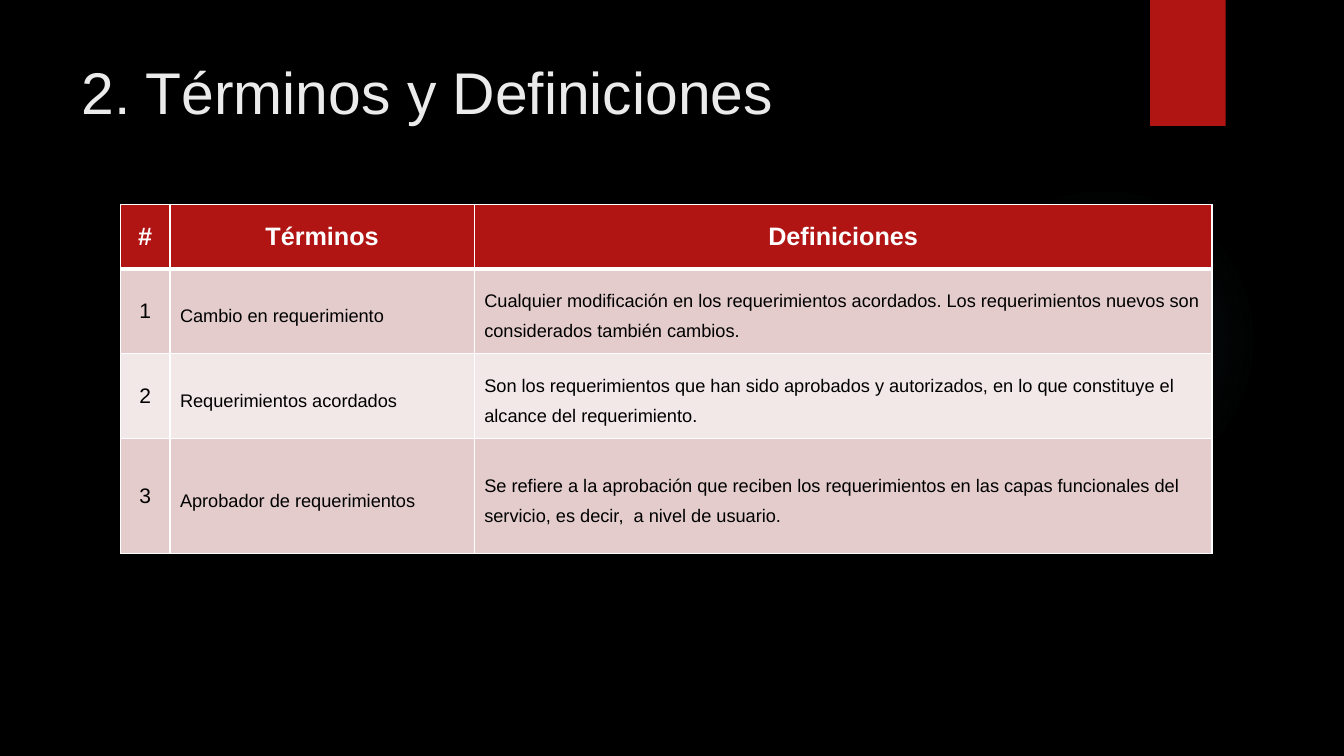
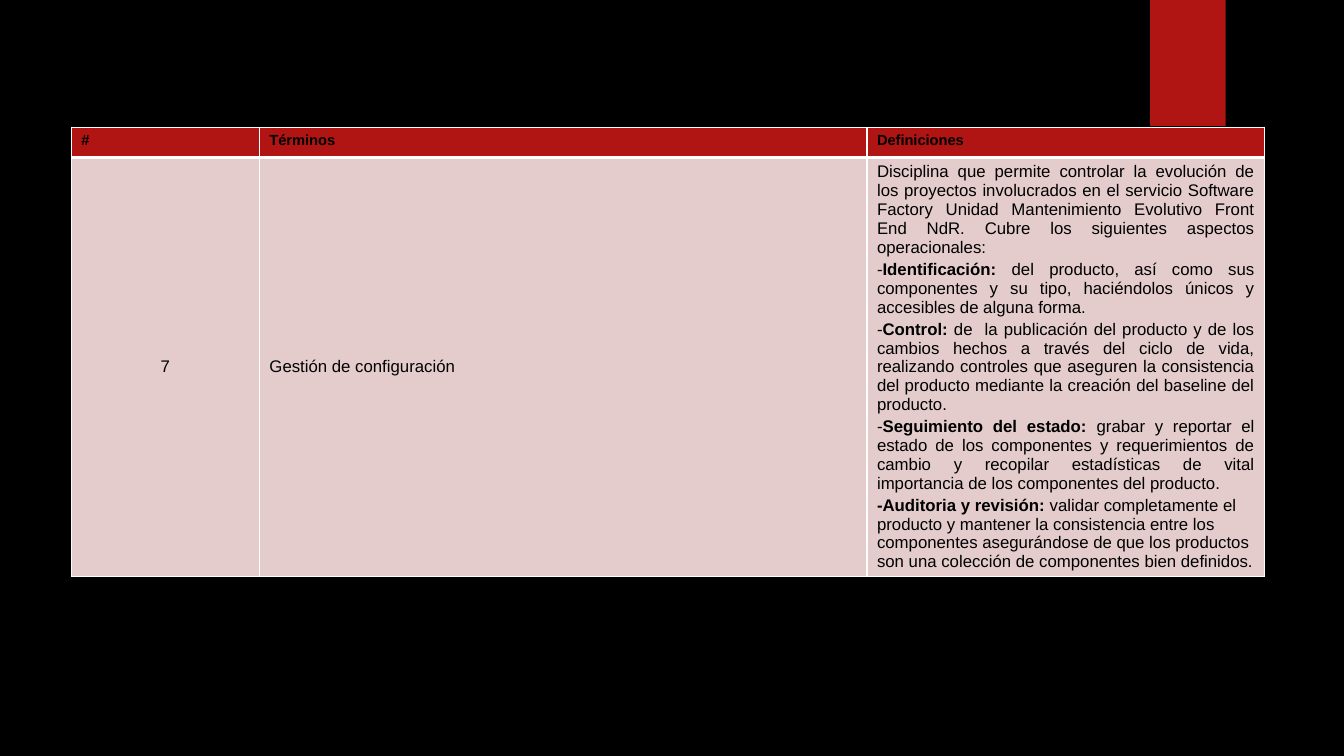
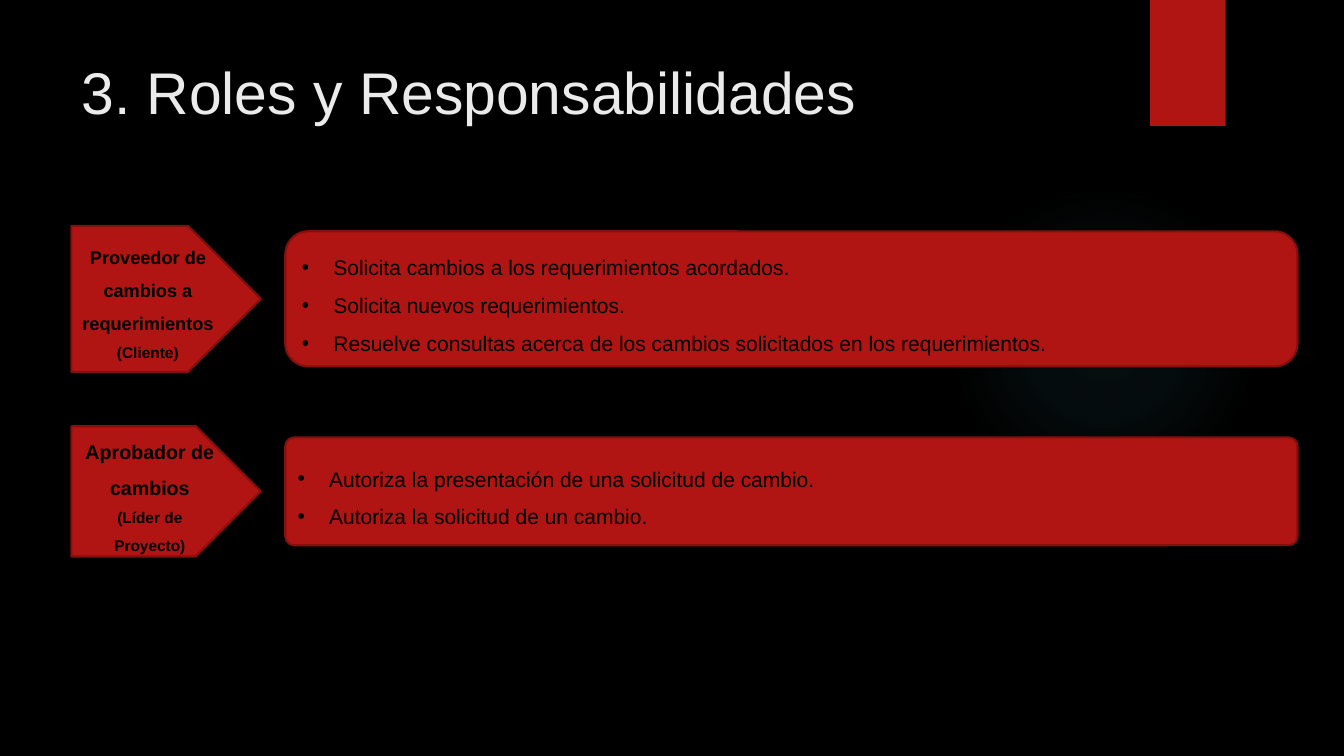
from pptx import Presentation
from pptx.dml.color import RGBColor
from pptx.enum.shapes import MSO_SHAPE
from pptx.enum.text import MSO_ANCHOR, PP_ALIGN
from pptx.oxml import parse_xml
from pptx.oxml.ns import nsdecls
from pptx.util import Pt

FONT = "Arial"
COLORS = {
    "black": "000000", "white": "FFFFFF", "title": "EBEBEB", "red": "B01513",
    "outline": "82100E", "odd": "E4CCCC", "even": "F2E8E7", "glow": "50B9C1",
}
LEFT, CENTER, JUSTIFY = PP_ALIGN.LEFT, PP_ALIGN.CENTER, PP_ALIGN.JUSTIFY
TOP, MIDDLE = MSO_ANCHOR.TOP, MSO_ANCHOR.MIDDLE

HEADER = ["#", "Términos", "Definiciones"]
TERMS = [
    ("1", "Cambio en requerimiento",
     "Cualquier modificación en los requerimientos acordados. Los requerimientos nuevos son "
     "considerados también cambios."),
    ("2", "Requerimientos acordados",
     "Son los requerimientos que han sido aprobados y autorizados, en lo que constituye el "
     "alcance del requerimiento."),
    ("3", "Aprobador de requerimientos",
     "Se refiere a la aprobación que reciben los requerimientos en las capas funcionales del "
     "servicio, es decir,  a nivel de usuario."),
]
CONFIG_INTRO = (
    "Disciplina que permite controlar la evolución de los proyectos involucrados en el servicio "
    "Software Factory Unidad Mantenimiento Evolutivo Front End NdR. Cubre los siguientes "
    "aspectos operacionales:")
CONFIG_ASPECTS = [
    ("Identificación:",
     " del producto, así como sus componentes y su tipo, haciéndolos únicos y accesibles de "
     "alguna forma."),
    ("Control:",
     " de  la publicación del producto y de los cambios hechos a través del ciclo de vida, "
     "realizando controles que aseguren la consistencia del producto mediante la creación del "
     "baseline del producto."),
    ("Seguimiento del estado:",
     " grabar y reportar el estado de los componentes y requerimientos de cambio y recopilar "
     "estadísticas de vital importancia de los componentes del producto."),
]
CONFIG_AUDIT = (
    "-Auditoria y revisión:",
    " validar completamente el producto y mantener la consistencia entre los componentes "
    "asegurándose de que los productos son una colección de componentes bien definidos.")
ROLES = [
    {"role": "Proveedor de cambios a requerimientos", "who": "(Cliente)", "size": 13,
     "middle": 213.5, "arrow": 104.4, "box": 96.5, "corner": 0.17,
     "tasks": ["Solicita cambios a los requerimientos acordados.",
               "Solicita nuevos requerimientos.",
               "Resuelve consultas acerca de los cambios solicitados en los requerimientos."]},
    {"role": "Aprobador de cambios", "who": "(Líder de Proyecto)", "size": 14,
     "middle": 351, "arrow": 93, "box": 77, "corner": 0.08,
     "tasks": ["Autoriza la presentación de una solicitud de cambio.",
               "Autoriza la solicitud de un cambio."]},
]


def rgb(name):
    return RGBColor.from_string(COLORS[name])


def write(tf, text, size=12, color="black", bold=False, align=LEFT,
          line=None, before=None, bullet=None, indent=0):
    p = tf.paragraphs[0]
    if p.runs:
        p = tf.add_paragraph()
    p.alignment = align
    if line:
        p.line_spacing = line
    if before:
        p.space_before = Pt(before)
    if bullet:
        pPr = p._p.get_or_add_pPr()
        pPr.set("marL", str(Pt(indent)))
        pPr.set("indent", str(-Pt(indent)))
        pPr.append(parse_xml(f'<a:buFont {nsdecls("a")} typeface="{FONT}"/>'))
        pPr.append(parse_xml(f'<a:buChar {nsdecls("a")} char="{bullet}"/>'))
    runs = [(text, bold)] if isinstance(text, str) else zip(text, (True, False))
    for words, strong in runs:
        r = p.add_run()
        r.text = words
        r.font.name = FONT
        r.font.size = Pt(size)
        r.font.bold = strong
        r.font.color.rgb = rgb(color)


def add_panel(shapes, kind, x, y, w, h, line=None):
    sp = shapes.add_shape(kind, Pt(x), Pt(y), Pt(w), Pt(h))
    sp.shadow.inherit = False
    sp.fill.solid()
    sp.fill.fore_color.rgb = rgb("red")
    if line:
        sp.line.color.rgb = rgb(line)
        sp.line.width = Pt(1.5)
    else:
        sp.line.fill.background()
    sp.text_frame.word_wrap = True
    sp.text_frame.vertical_anchor = MIDDLE
    return sp


def decorate_master(prs, s):
    master = prs.slide_master
    master.background.fill.solid()
    master.background.fill.fore_color.rgb = rgb("black")
    glow = add_panel(s.shapes, MSO_SHAPE.OVAL, 677.5, 131.8, 221.8, 221.8)
    stops = "".join(
        f'<a:gs pos="{pos * 1000}"><a:srgbClr val="{COLORS["glow"]}">'
        f'<a:alpha val="{alpha * 1000}"/></a:srgbClr></a:gs>'
        for pos, alpha in [(0, 7), (36, 6), (69, 0), (100, 0)])
    spPr = glow._element.spPr
    spPr.replace(spPr.solidFill, parse_xml(
        f'<a:gradFill {nsdecls("a")}><a:gsLst>{stops}</a:gsLst><a:path path="circle">'
        '<a:fillToRect l="50000" t="50000" r="50000" b="50000"/></a:path></a:gradFill>'))
    band = add_panel(s.shapes, MSO_SHAPE.RECTANGLE, 821.5, 0, 54, 90)
    for i, sp in enumerate((glow, band)):
        master.shapes.element.insert(2 + i, sp._element)


def place_title(layout):
    title = layout.placeholders[0]
    title.left, title.top, title.width, title.height = Pt(51), Pt(36), Pt(741), Pt(110)
    title.text_frame.vertical_anchor = TOP


def add_title(s, text):
    write(s.shapes.title.text_frame, text, size=42, color="title")


def add_grid(s, x, y, cols, rows):
    table = s.shapes.add_table(len(rows), len(cols), Pt(x), Pt(y),
                               Pt(sum(cols)), Pt(sum(rows))).table
    for column, width in zip(table.columns, cols):
        column.width = Pt(width)
    for i, (row, height) in enumerate(zip(table.rows, rows)):
        row.height = Pt(height)
        for cell in row.cells:
            tcPr = cell._tc.get_or_add_tcPr()
            widths = {"L": 1, "R": 1, "T": 3 if i == 1 else 1, "B": 3 if i == 0 else 1}
            for side, width in widths.items():
                tcPr.append(parse_xml(
                    f'<a:ln{side} {nsdecls("a")} w="{Pt(width)}"><a:solidFill>'
                    f'<a:srgbClr val="{COLORS["white"]}"/></a:solidFill></a:ln{side}>'))
            cell.fill.solid()
            cell.fill.fore_color.rgb = rgb("red" if i == 0 else "odd" if i % 2 else "even")
            cell.vertical_anchor = MIDDLE
    return table


def build_terms(s):
    add_title(s, "2. Términos y Definiciones")
    table = add_grid(s, 86, 146, [35.4, 217.4, 527], [46, 60.7, 60.7, 82])
    for j, text in enumerate(HEADER):
        write(table.cell(0, j).text_frame, text, size=18, color="white", bold=True, align=CENTER)
    for i, (number, *texts) in enumerate(TERMS, 1):
        write(table.cell(i, 0).text_frame, number, size=15, align=CENTER)
        for j, text in enumerate(texts, 1):
            write(table.cell(i, j).text_frame, text, size=13, line=1.5)


def build_configuration(s):
    table = add_grid(s, 51, 90.8, [134.3, 434, 284.2], [21.8, 294])
    for j, text in enumerate(HEADER):
        table.cell(0, j).vertical_anchor = TOP
        write(table.cell(0, j).text_frame, text, size=10.5, bold=True)
    number, term, definition = [table.cell(1, j).text_frame for j in range(3)]
    write(number, "7", align=CENTER)
    write(term, "Gestión de configuración")
    write(definition, CONFIG_INTRO, align=JUSTIFY)
    for aspect in CONFIG_ASPECTS:
        write(definition, aspect, align=JUSTIFY, before=2.4, bullet="-")
    write(definition, CONFIG_AUDIT, before=2.4)


def build_roles(s):
    add_title(s, "3. Roles y Responsabilidades")
    for role in ROLES:
        arrow = add_panel(s.shapes, MSO_SHAPE.PENTAGON, 51, role["middle"] - role["arrow"] / 2,
                          135.4, role["arrow"], line="outline")
        for text, size in [(role["role"], role["size"]), (role["who"], 11)]:
            write(arrow.text_frame, text, size=size, bold=True, align=CENTER, line=1.5)
        box = add_panel(s.shapes, MSO_SHAPE.ROUNDED_RECTANGLE, 203.8,
                        role["middle"] - role["box"] / 2, 723, role["box"], line="outline")
        box.adjustments[0] = role["corner"]
        for task in role["tasks"]:
            write(box.text_frame, task, size=15, line=1.5, bullet="•", indent=22.5)


def main():
    prs = Presentation()
    prs.slide_width, prs.slide_height = Pt(960), Pt(540)
    title_only, blank = prs.slide_layouts[5], prs.slide_layouts[6]
    place_title(title_only)
    pages = [(title_only, build_terms), (blank, build_configuration), (title_only, build_roles)]
    for i, (layout, build) in enumerate(pages):
        s = prs.slides.add_slide(layout)
        if i == 0:
            decorate_master(prs, s)
        build(s)
    prs.save("out.pptx")


if __name__ == "__main__":
    main()
